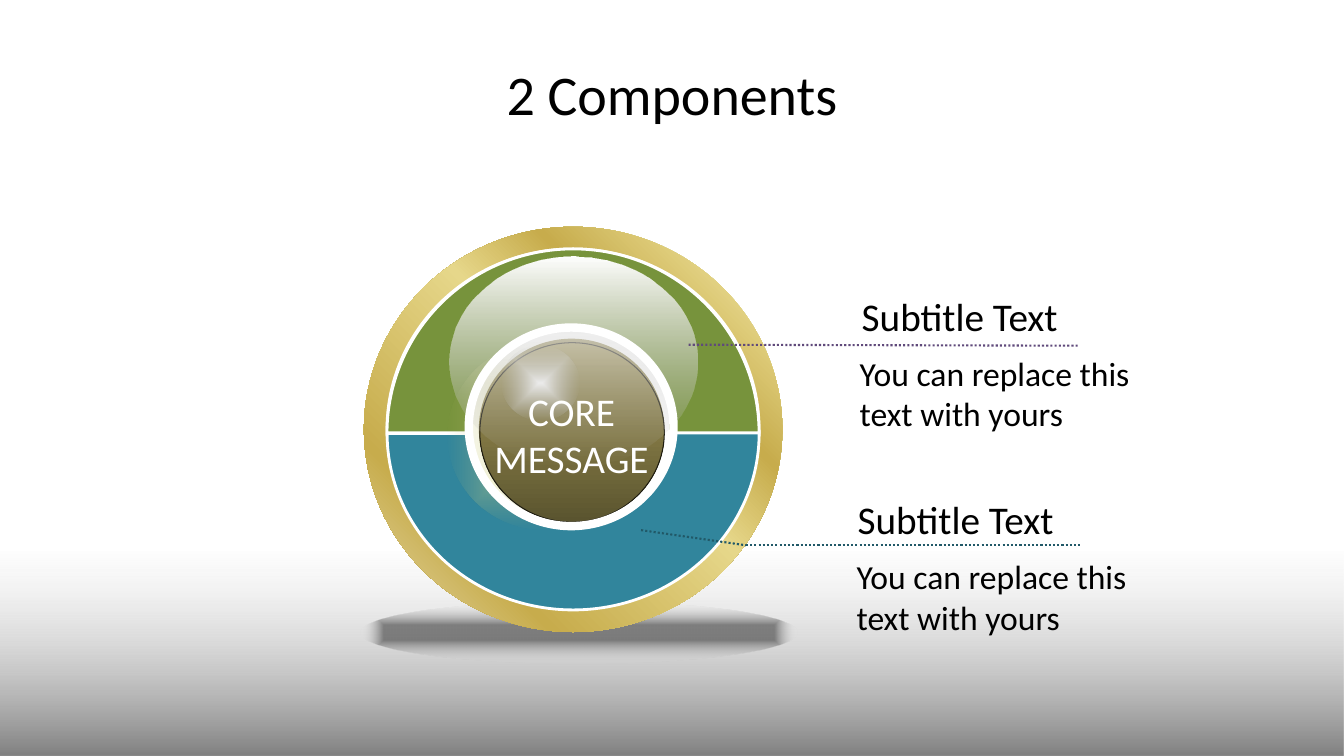
import pptx
import pptx.util
import pptx.oxml
import pptx.oxml.ns
import pptx.dml.color
import pptx.enum.dml
import pptx.enum.shapes
import pptx.enum.text

Pt = pptx.util.Pt
RGB = pptx.dml.color.RGBColor.from_string
SHAPE = pptx.enum.shapes.MSO_SHAPE
ALIGN = pptx.enum.text.PP_ALIGN
ANCHOR = pptx.enum.text.MSO_ANCHOR

THEME = {
    "font": "Calibri",
    "ink": "000000", "white": "FFFFFF",
    "top": "77933C", "bottom": "31859C", "bronze": "948A54", "core_edge": "1E1C11",
    "top_line": "604A7B", "bottom_line": "215968",
    "title": 40, "subtitle": 28, "body": 24,
    "floor": [(0, "D9D9D9", 4), (46, "BFBFBF", 60), (100, "808080", 100)],
    "shadow": [(24, "000000", 44), (100, "FFFFFF", 0)],
    "gold": [(0, "E6DCAC", 100), (12, "E6D78A", 100), (30, "C7AC4C", 100),
             (45, "E6D78A", 100), (77, "C7AC4C", 100), (100, "E6DCAC", 100)],
    "glow": [(0, "FFFF99", 70), (100, "B6B66D", 0)],
    "core": [(0, "5A542F", 100), (50, "817743", 100), (100, "998D4F", 100)],
    "gloss": [(0, "FFFFFF", 100), (100, "B6B6B6", 0)],
}

prs = pptx.Presentation()
prs.slide_width = pptx.util.Inches(13.33)
prs.slide_height = pptx.util.Inches(7.5)
COL, ROW = prs.slide_width / 100, prs.slide_height / 100
s = prs.slides.add_slide(prs.slide_layouts[5])


def add_part(kind, box, fill=None, angle=None, line=None, width=2):
    x, y, w, h = box
    sp = s.shapes.add_shape(kind, int(x * COL), int(y * ROW), int(w * COL), int(h * ROW))
    sp.shadow.inherit = False
    if line:
        sp.line.color.rgb = RGB(THEME[line])
        sp.line.width = Pt(width)
    else:
        sp.line.fill.background()
    if fill is None:
        sp.fill.background()
    elif isinstance(THEME[fill], str):
        sp.fill.solid()
        sp.fill.fore_color.rgb = RGB(THEME[fill])
    else:
        stops = "".join(
            f'<a:gs pos="{pos * 1000}"><a:srgbClr val="{color}">'
            f'<a:alpha val="{alpha * 1000}"/></a:srgbClr></a:gs>'
            for pos, color, alpha in THEME[fill])
        if angle is None:
            course = ('<a:path path="shape"><a:fillToRect l="50000" t="50000" '
                      'r="50000" b="50000"/></a:path>')
        else:
            course = f'<a:lin ang="{angle * 60000}" scaled="0"/>'
        sp._element.spPr.insert(2, pptx.oxml.parse_xml(
            f'<a:gradFill {pptx.oxml.ns.nsdecls("a")} rotWithShape="1">'
            f'<a:gsLst>{stops}</a:gsLst>{course}</a:gradFill>'))
    return sp


def add_text(text, box, size, color="ink", align=ALIGN.LEFT, anchor=ANCHOR.TOP, sp=None):
    x, y, w, h = box
    sp = sp or s.shapes.add_textbox(0, 0, 0, 0)
    sp.left, sp.top, sp.width, sp.height = int(x * COL), int(y * ROW), int(w * COL), int(h * ROW)
    tf = sp.text_frame
    tf.word_wrap = True
    tf.vertical_anchor = anchor
    p = tf.paragraphs[0]
    p.alignment = align
    r = p.add_run()
    r.text = text
    r.font.name = THEME["font"]
    r.font.size = Pt(THEME[size])
    r.font.color.rgb = RGB(THEME[color])


add_part(SHAPE.RECTANGLE, (0, 72.93, 100, 27.07), "floor", 90)
add_text("2 Components", (5, 4, 90, 16.67), "title",
         align=ALIGN.CENTER, anchor=ANCHOR.MIDDLE, sp=s.shapes.title)

add_part(SHAPE.OVAL, (26.85, 79.6, 32.48, 8.13), "shadow")
add_part(SHAPE.OVAL, (27.08, 30, 31.13, 53.6), "gold", 135)
add_part(SHAPE.OVAL, (28.8, 32.93, 27.68, 47.6), "white", line="white")
bottom_half = add_part(SHAPE.BLOCK_ARC, (28.8, 34, 27.68, 46.67), "bottom", line="white")
bottom_half.rotation = 180
bottom_half.adjustments[0] = 107.42
add_part(SHAPE.BLOCK_ARC, (28.8, 32.93, 27.68, 48.67), "top", line="white")
add_part(SHAPE.OVAL, (35.18, 43.87, 14.55, 25.07), "white", line="white")
add_part(SHAPE.OVAL, (33.3, 45.2, 14.4, 24.8), "glow")
add_part(SHAPE.OVAL, (35.63, 44.8, 13.8, 23.87), "bronze")
add_part(SHAPE.OVAL, (35.7, 45.33, 13.73, 23.73), "core", 270, line="core_edge", width=0.75)
add_part(SHAPE.OVAL, (37.35, 45.73, 5.78, 9.87), "gloss")
add_part(SHAPE.OVAL, (33.45, 34, 18.45, 27.73), "gloss", 90)
add_part(SHAPE.OVAL, (34.88, 43.33, 15.23, 26.27), line="white", width=6)

callouts = [
    ((63.38, 38, 20.4, 7.6), (63.23, 46, 21.75, 12.13), "top_line",
     [(51.23, 45.6), (80.33, 45.73)]),
    ((63.08, 64.8, 24.23, 7.6), (63, 72.93, 24.23, 12.13), "bottom_line",
     [(47.7, 70.13), (55.5, 72.13), (80.33, 72.13)]),
]
for subtitle_box, body_box, color, points in callouts:
    add_text("Subtitle Text", subtitle_box, "subtitle")
    for (x1, y1), (x2, y2) in zip(points, points[1:]):
        leader = s.shapes.add_connector(
            pptx.enum.shapes.MSO_CONNECTOR.STRAIGHT,
            int(x1 * COL), int(y1 * ROW), int(x2 * COL), int(y2 * ROW))
        leader.line.color.rgb = RGB(THEME[color])
        leader.line.width = Pt(1.5)
        leader.line.dash_style = pptx.enum.dml.MSO_LINE.ROUND_DOT
        leader._element.spPr.append(pptx.oxml.parse_xml(
            f'<a:effectLst {pptx.oxml.ns.nsdecls("a")}/>'))
    add_text("You can replace this text with yours", body_box, "body")

add_text("CORE MESSAGE", (35.25, 50.53, 14.55, 13.87), "subtitle", "white", ALIGN.CENTER)

prs.save("out.pptx")
